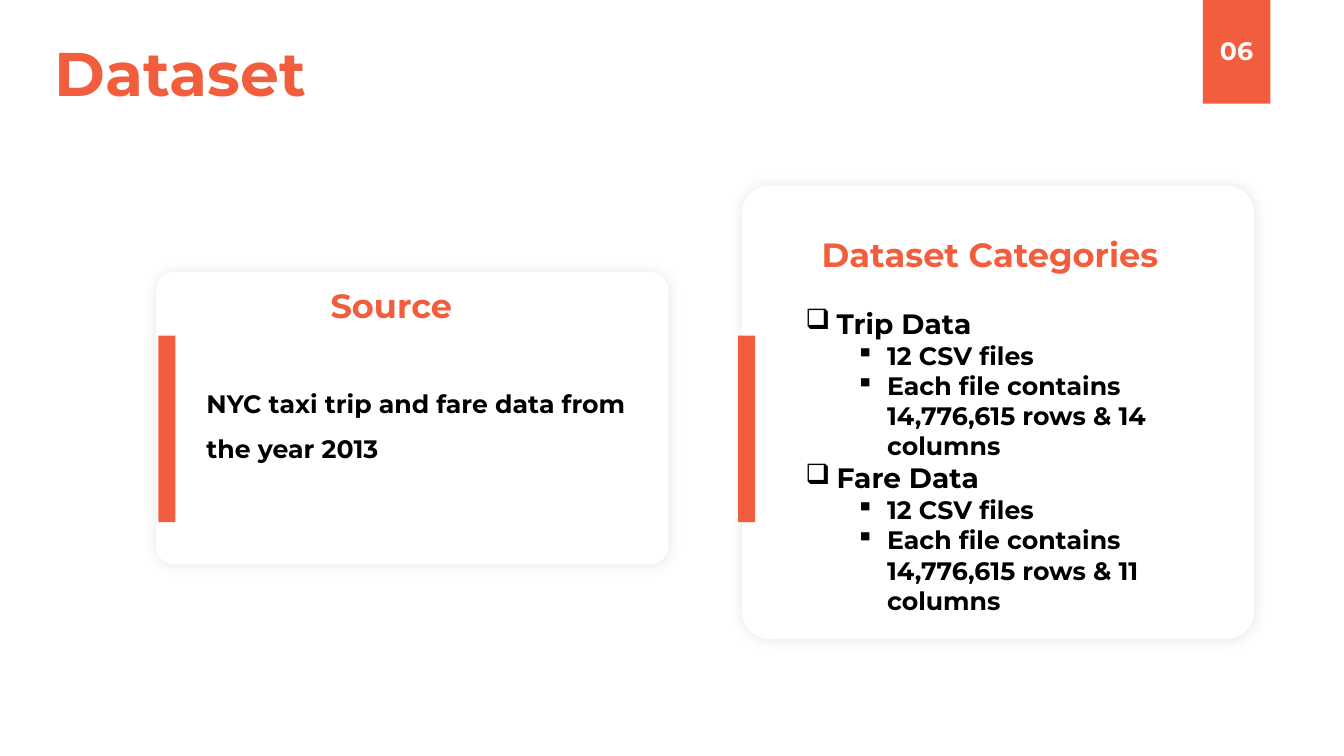
"""Build the Dataset slide with its source and category cards."""
from dataclasses import dataclass

from lxml import etree
from pptx import Presentation
from pptx.dml.color import RGBColor
from pptx.enum.shapes import MSO_SHAPE
from pptx.enum.text import PP_ALIGN
from pptx.oxml.ns import qn
from pptx.util import Inches, Pt

RECTANGLE = MSO_SHAPE.RECTANGLE
ROUNDED = MSO_SHAPE.ROUNDED_RECTANGLE
LEFT = PP_ALIGN.LEFT
CENTER = PP_ALIGN.CENTER
ORANGE = "F25E3D"
WHITE = "FFFFFF"
BLACK = "000000"
BULLETS = ("❑", "▪")
INDENTS = (0.31, 0.81)
HANGING = 0.31
CATEGORY_SIZES = (20, 18)


@dataclass(frozen=True)
class Box:
    left: float
    top: float
    width: float
    height: float

    def lengths(self) -> list:
        return [Inches(value) for value in (self.left, self.top, self.width, self.height)]


@dataclass(frozen=True)
class Line:
    text: str
    size: int
    color: str = BLACK
    alignment: PP_ALIGN = LEFT
    spacing: float = 1.0
    level: int = 0
    bulleted: bool = False


@dataclass(frozen=True)
class Category:
    name: str
    columns: int


CARDS = (Box(1.55, 2.7, 5.08, 2.9), Box(7.36, 1.84, 5.08, 4.5))
ACCENTS = (Box(1.57, 3.33, 0.17, 1.85), Box(7.32, 3.33, 0.17, 1.85))
BADGE = Box(11.93, 0, 0.67, 1.03)
CATEGORIES = (Category("Trip Data", 14), Category("Fare Data", 11))


def rgb(color: str) -> RGBColor:
    return RGBColor.from_string(color)


def category_lines(category: Category) -> list[Line]:
    entries = (
        (category.name, 0),
        ("12 CSV files", 1),
        (f"Each file contains 14,776,615 rows & {category.columns} columns", 1),
    )
    return [
        Line(text, CATEGORY_SIZES[level], level=level, bulleted=True)
        for text, level in entries
    ]


def add_block(slide, box: Box, color: str, kind=RECTANGLE):
    shape = slide.shapes.add_shape(kind, *box.lengths())
    shape.shadow.inherit = False
    shape.fill.solid()
    shape.fill.fore_color.rgb = rgb(color)
    shape.line.fill.background()
    return shape


def add_card(slide, box: Box) -> None:
    card = add_block(slide, box, WHITE, ROUNDED)
    card.adjustments[0] = 0.061
    effects = card._element.spPr.find(qn("a:effectLst"))
    shadow = etree.SubElement(
        effects, qn("a:outerShdw"), blurRad=str(Pt(10)), dist="0", dir="0",
        algn="ctr", rotWithShape="0",
    )
    shade = etree.SubElement(shadow, qn("a:srgbClr"), val=BLACK)
    etree.SubElement(shade, qn("a:alpha"), val="10000")


def add_bullet(paragraph, level: int) -> None:
    properties = paragraph._p.get_or_add_pPr()
    properties.set("marL", str(Inches(INDENTS[level])))
    properties.set("indent", str(-Inches(HANGING)))
    etree.SubElement(properties, qn("a:buChar"), char=BULLETS[level])


def add_text(slide, box: Box, lines: list[Line]) -> None:
    frame = slide.shapes.add_textbox(*box.lengths()).text_frame
    frame.word_wrap = True
    for index, line in enumerate(lines):
        paragraph = frame.add_paragraph() if index else frame.paragraphs[0]
        paragraph_format = {
            "alignment": line.alignment,
            "line_spacing": line.spacing,
            "level": line.level,
        }
        for name, value in paragraph_format.items():
            setattr(paragraph, name, value)
        if line.bulleted:
            add_bullet(paragraph, line.level)
        run = paragraph.add_run()
        run.text = line.text
        font_format = {"name": "Montserrat", "size": Pt(line.size), "bold": True}
        for name, value in font_format.items():
            setattr(run.font, name, value)
        run.font.color.rgb = rgb(line.color)


def main() -> None:
    presentation = Presentation()
    presentation.slide_width = Inches(13.33)
    presentation.slide_height = Inches(7.5)
    slide = presentation.slides.add_slide(presentation.slide_layouts[6])

    add_block(slide, BADGE, ORANGE)
    for card in CARDS:
        add_card(slide, card)
    for accent in ACCENTS:
        add_block(slide, accent, ORANGE)

    categories = [line for category in CATEGORIES for line in category_lines(category)]
    source = "NYC taxi trip and fare data from the year 2013"
    texts = (
        (Box(11.93, 0.3, 0.67, 0.4), [Line("06", 18, WHITE, CENTER)]),
        (Box(1.95, 3.65, 4.54, 1), [Line(source, 18, spacing=1.5)]),
        (Box(7.89, 2.99, 4.15, 3.2), categories),
        (Box(3.18, 2.78, 2.01, 0.5), [Line("Source", 24, ORANGE)]),
        (Box(8.05, 2.27, 4.07, 0.5), [Line("Dataset Categories", 24, ORANGE)]),
        (Box(0.44, 0.3, 11.03, 0.84), [Line("Dataset", 44, ORANGE)]),
    )
    for box, lines in texts:
        add_text(slide, box, lines)
    presentation.save("out.pptx")


if __name__ == "__main__":
    main()
